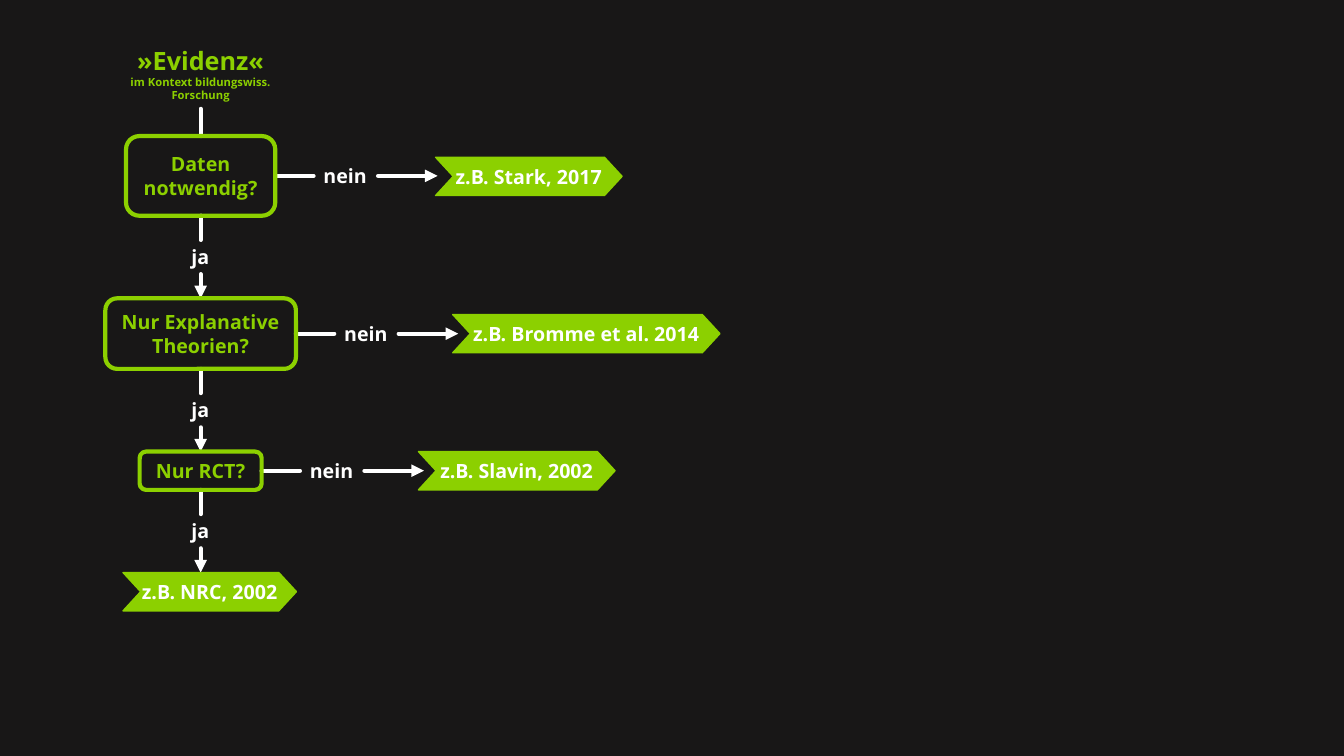
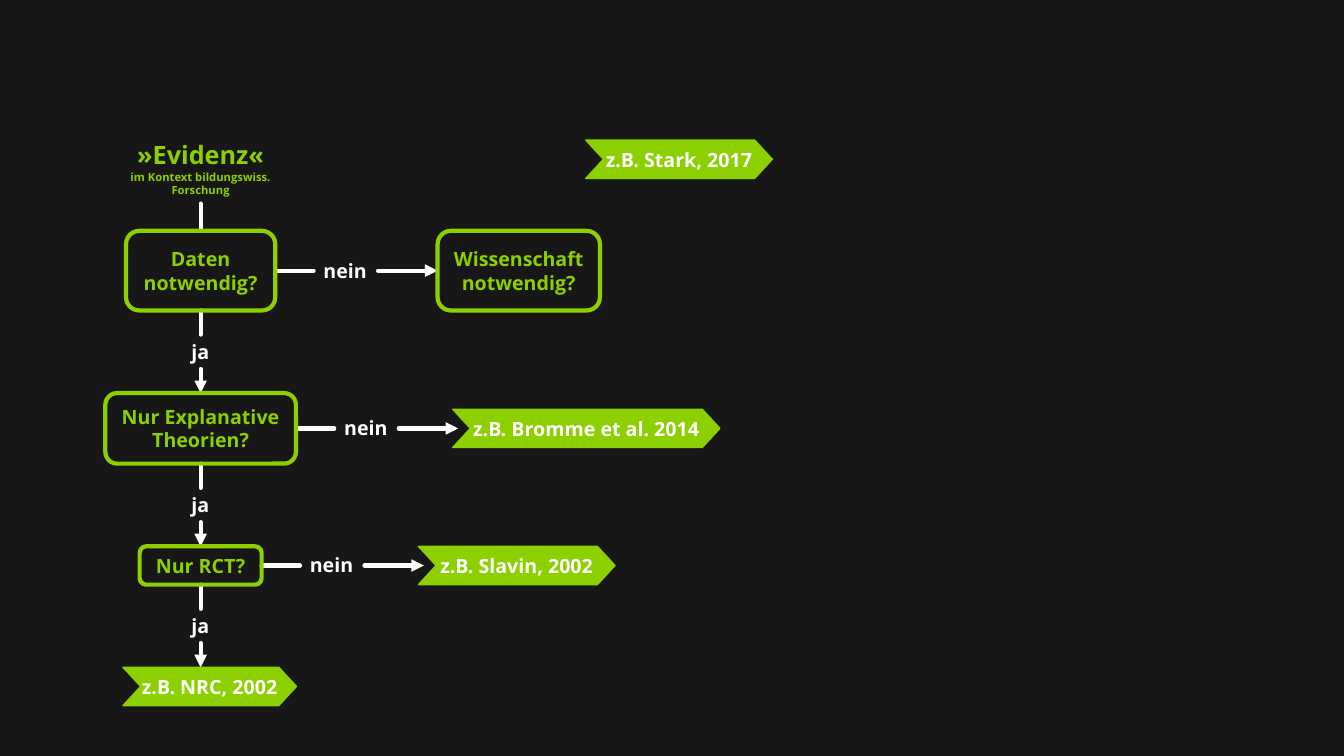
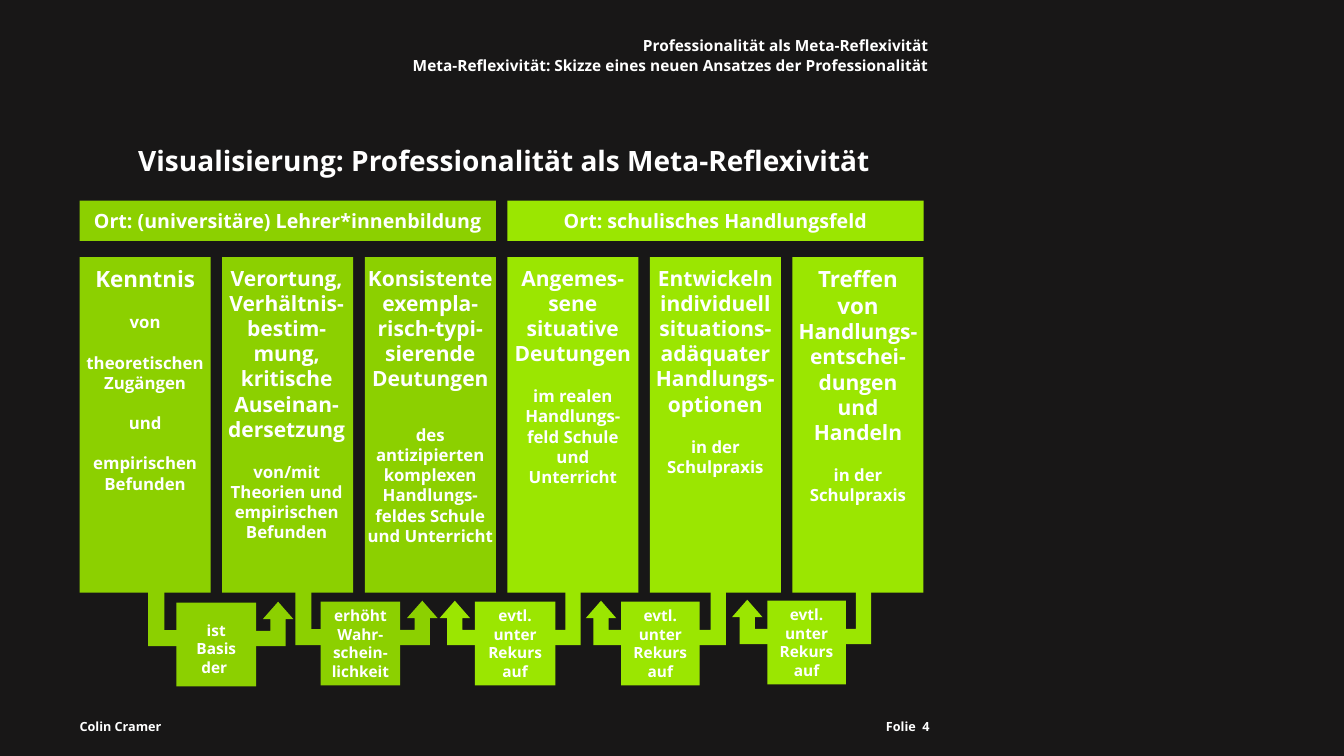
"""Build two evidence flow charts and one column model of meta-reflexivity."""
from lxml import etree
from pptx import Presentation
from pptx.dml.color import RGBColor
from pptx.enum.shapes import MSO_CONNECTOR, MSO_SHAPE
from pptx.enum.text import MSO_ANCHOR, MSO_AUTO_SIZE, PP_ALIGN
from pptx.oxml.ns import qn
from pptx.util import Inches, Pt

RECT, ROUND = MSO_SHAPE.RECTANGLE, MSO_SHAPE.ROUNDED_RECTANGLE
CHEVRON, BENT = MSO_SHAPE.CHEVRON, MSO_SHAPE.BENT_UP_ARROW
STRAIGHT = MSO_CONNECTOR.STRAIGHT
TOP, MID, LOW = MSO_ANCHOR.TOP, MSO_ANCHOR.MIDDLE, MSO_ANCHOR.BOTTOM
LEFT, CENTER, RIGHT = PP_ALIGN.LEFT, PP_ALIGN.CENTER, PP_ALIGN.RIGHT
GROW = MSO_AUTO_SIZE.SHAPE_TO_FIT_TEXT
FONT = "Open Sans"
COLORS = {"back": "181717", "green": "8CD000", "lime": "9BE601", "white": "FFFFFF"}
PAD, FLAT, NONE = (0.1, 0.05, 0.1, 0.05), (0, 0.05, 0, 0.05), (0, 0, 0, 0)


def para(text, size, before=0):
    return before, [(text, size)]


AXIS, CHEV_H = 1.99, 0.38
ROOT = [para("»Evidenz«", 18), para("im Kontext bildungswiss. Forschung", 8)]
STEPS = [
    ("Daten notwendig?", 1.48, 0.79),
    ("Nur Explanative Theorien?", 1.89, 0.7),
    ("Nur RCT?", 1.21, 0.38),
]
STARK = ("z.B. Stark, 2017", 1.85)
CITES = [("z.B. Bromme et al. 2014", 4.49, 2.65), ("z.B. Slavin, 2002", 4.15, 1.95)]
LAST = ("z.B. NRC, 2002", 1.22, 1.72)
SCIENCE = ("Wissenschaft notwendig?", 4.34, 1.61)
FLOWS = [(0.38, 4.32, 1.56, False), (1.32, 5.81, 1.39, True)]

HEAD = [
    "Professionalität als Meta-Reflexivität",
    "Meta-Reflexivität: Skizze eines neuen Ansatzes der Professionalität",
]
TITLE = "Visualisierung: Professionalität als Meta-Reflexivität"
FOOT = "Colin Cramer\tFolie  4"
PLACES = [
    ("Ort: (universitäre) Lehrer*innenbildung", 0, "green"),
    ("Ort: schulisches Handlungsfeld", 3, "lime"),
]
COLUMNS = [
    ("green", (0.04, 0.08, 0.04, 0), [
        para("Kenntnis", 16), para("von", 12, 14.4),
        para("theoretischen", 12, 14.4), para("Zugängen", 12),
        para("und", 12, 14.4), para("empirischen", 12, 14.4), para("Befunden", 12)]),
    ("green", (0.02, 0.08, 0.04, 0), [
        para("Verortung,", 15),
        para("Verhältnis-bestim-mung, kritische Auseinan-dersetzung", 15),
        para("von/mit Theorien und empirischen Befunden", 12, 14.4)]),
    ("green", (0, 0.08, 0, 0), [
        para("Konsistente", 15),
        para("exempla-risch-typi-sierende Deutungen", 15),
        para("des antizipierten komplexen Handlungs-feldes Schule und Unterricht",
             12, 24)]),
    ("lime", (0.04, 0.08, 0.04, 0), [
        para("Angemes-sene\nsituative\nDeutungen", 15),
        para("im realen Handlungs-feld Schule und Unterricht", 12, 14.4)]),
    ("lime", (0.04, 0.08, 0.04, 0), [
        para("Entwickeln individuell", 15),
        para("situations-adäquater Handlungs-optionen", 15),
        para("in der Schulpraxis", 12, 14.4)]),
    ("lime", (0.04, 0.08, 0.04, 0), [
        (0, [("Treffen von ", 16), ("Handlungs-", 15)]),
        para("entschei-dungen und Handeln", 15),
        para("in der Schulpraxis", 12, 14.4)]),
]
BACK = [para(word, 11) for word in ("evtl.", "unter", "Rekurs", "auf")]
LINKS = [
    ("green", 1.75, 5.98, 0.79, 1.55, 2.4, (0.1, 0.08, 0.1, 0),
     [para("ist Basis der ", 11)]),
    ("green", 3.18, 5.97, 0.79, 3.01, 3.83, (0.02, 0, 0.02, 0),
     [para("erhöht Wahr-schein-lichkeit", 11)]),
    ("lime", 4.71, 5.97, 0.8, 5.35, 4.36, (0.04, 0, 0.04, 0), BACK),
    ("lime", 6.16, 5.97, 0.78, 6.79, 5.81, (0.04, 0, 0.04, 0), BACK),
    ("lime", 7.61, 5.96, 0.78, 8.23, 7.26, (0.04, 0, 0.04, 0), BACK),
]
BENDS = {
    "green": ((0.312, 0, 0), (0.344, 0.344, 0.391)),
    "lime": ((0.296, 0.344, 0), (0.344, 0.344, 0.394)),
}


def rgb(name):
    return RGBColor.from_string(COLORS[name])


def write(shape, paras, color="white", align=CENTER, anchor=MID, pad=PAD,
          wrap=True, space=None):
    frame = shape.text_frame
    frame.word_wrap, frame.vertical_anchor = wrap, anchor
    (frame.margin_left, frame.margin_top,
     frame.margin_right, frame.margin_bottom) = map(Inches, pad)
    for i, (before, runs) in enumerate(paras):
        line = frame.add_paragraph() if i else frame.paragraphs[0]
        line.alignment = align
        if before:
            line.space_before = Pt(before)
        if space:
            line.line_spacing = space
        for text, size in runs:
            for j, part in enumerate(text.split("\n")):
                if j:
                    line.add_line_break()
                run = line.add_run()
                run.text = part
                run.font.name, run.font.size, run.font.bold = FONT, Pt(size), True
                run.font.color.rgb = rgb(color)


def label(slide, box, paras, grow=False, **style):
    shape = slide.shapes.add_textbox(*map(Inches, box))
    write(shape, paras, **style)
    if grow:
        shape.text_frame.auto_size = GROW
    return shape


def block(slide, kind, box, fill=None, edge=None, width=3, bends=()):
    shape = slide.shapes.add_shape(kind, *map(Inches, box))
    shape.shadow.inherit = False
    for i, bend in enumerate(bends):
        shape.adjustments[i] = bend
    if fill:
        shape.fill.solid()
        shape.fill.fore_color.rgb = rgb(fill)
    else:
        shape.fill.background()
    if edge:
        shape.line.color.rgb = rgb(edge)
        shape.line.width = Pt(width)
    else:
        shape.line.fill.background()
    return shape


def stroke(slide, x1, y1, x2, y2, arrow=False):
    line = slide.shapes.add_connector(STRAIGHT, *map(Inches, (x1, y1, x2, y2)))
    line.line.color.rgb = rgb("white")
    line.line.width = Pt(3)
    props = line._element.spPr
    stem = props.find(qn("a:ln"))
    stem.set("cap", "rnd")
    if arrow:
        etree.SubElement(stem, qn("a:tailEnd"), type="triangle")
    etree.SubElement(props, qn("a:effectLst"))


def ask(slide, text, box):
    shape = block(slide, ROUND, box, edge="green")
    write(shape, [para(text, 14)], "green")


def cite(slide, text, x, y, w):
    shape = block(slide, CHEVRON, (x, y, w, CHEV_H), "green", "green", 1, (0.461,))
    write(shape, [para(text, 14)], pad=FLAT)


def tag(slide, text, x, y, w):
    label(slide, (x, y, w, 0.34), [para(text, 14)], True, align=LEFT, anchor=TOP,
          wrap=False)


def bend(slide, box, color, bends, flip):
    shape = block(slide, BENT, box, color, bends=bends)
    if flip:
        shape._element.spPr.xfrm.set("flipH", "1")


def flow(slide, top, starkx, starky, science):
    write(block(slide, ROUND, (1.02, top, 1.94, 0.7)), ROOT, "green")
    stroke(slide, AXIS, top + 0.7, AXIS, top + 0.97)
    y = top + 0.97
    cites = [(STARK[0], starkx, STARK[1])] + CITES
    for i, ((text, w, h), (name, x, wide)) in enumerate(zip(STEPS, cites)):
        side, mid, base = AXIS + w / 2, y + h / 2, y + h
        stroke(slide, side, mid, side + 0.38, mid)
        tag(slide, "nein", side + 0.38, mid - 0.17, 0.64)
        cite(slide, name, x, mid - CHEV_H / 2 if i else starky, wide)
        stroke(slide, side + 1.02, mid, side + 1.61, mid, True)
        stroke(slide, AXIS, base, AXIS, base + 0.24)
        tag(slide, "ja", AXIS - 0.19, base + 0.24, 0.38)
        stroke(slide, AXIS, base + 0.58, AXIS, base + 0.82, True)
        ask(slide, text, (AXIS - w / 2, y, w, h))
        if science and not i:
            ask(slide, SCIENCE[0], (SCIENCE[1], y, SCIENCE[2], h))
        y = base + 0.82
    name, x, wide = LAST
    cite(slide, name, x, y, wide)


def model(slide):
    start, pitch, wide = 0.79, 1.414, 1.3
    label(slide, (3.39, 0.35, 5.82, 0.39), [para(text, 11) for text in HEAD], True,
          align=RIGHT, anchor=TOP, pad=NONE, space=Pt(14))
    label(slide, (start, 1.41, 8.42, 0.4), [para(TITLE, 20)], anchor=LOW, space=0.9)
    foot = label(slide, (start, 7.13, 8.43, 0.15), [para(FOOT, 9)], True,
                 align=LEFT, anchor=TOP, pad=NONE)
    props = foot.text_frame.paragraphs[0]._p.get_or_add_pPr()
    tabs = etree.SubElement(props, qn("a:tabLst"))
    etree.SubElement(tabs, qn("a:tab"), pos=str(Inches(8.43)), algn="r")
    for text, col, color in PLACES:
        box = (start + col * pitch, 1.99, 2 * pitch + wide, 0.4)
        write(block(slide, RECT, box, color), [para(text, 14)], anchor=TOP,
              pad=(0.1, 0.08, 0.1, 0))
    for i, (color, pad, paras) in enumerate(COLUMNS):
        box = (start + i * pitch, 2.55, wide, 3.33)
        write(block(slide, RECT, box, color), paras, anchor=TOP, pad=pad)
    for color, x, y, w, stem, tip, pad, paras in LINKS:
        ahead = stem < tip
        low, high = BENDS[color]
        bend(slide, (tip, y - 0.01, 0.51, 0.44), color, high, not ahead)
        bend(slide, (stem, y - 0.11, 0.51, 0.54), color, low, ahead)
        write(block(slide, RECT, (x, y, w, 0.83), color), paras, pad=pad)


deck = Presentation()
deck.slide_width, deck.slide_height = Inches(13.33), Inches(7.5)
ground = deck.slide_master.background.fill
ground.solid()
ground.fore_color.rgb = rgb("back")
blank = deck.slide_layouts[6]
for plan in FLOWS:
    flow(deck.slides.add_slide(blank), *plan)
model(deck.slides.add_slide(blank))
deck.save("out.pptx")
